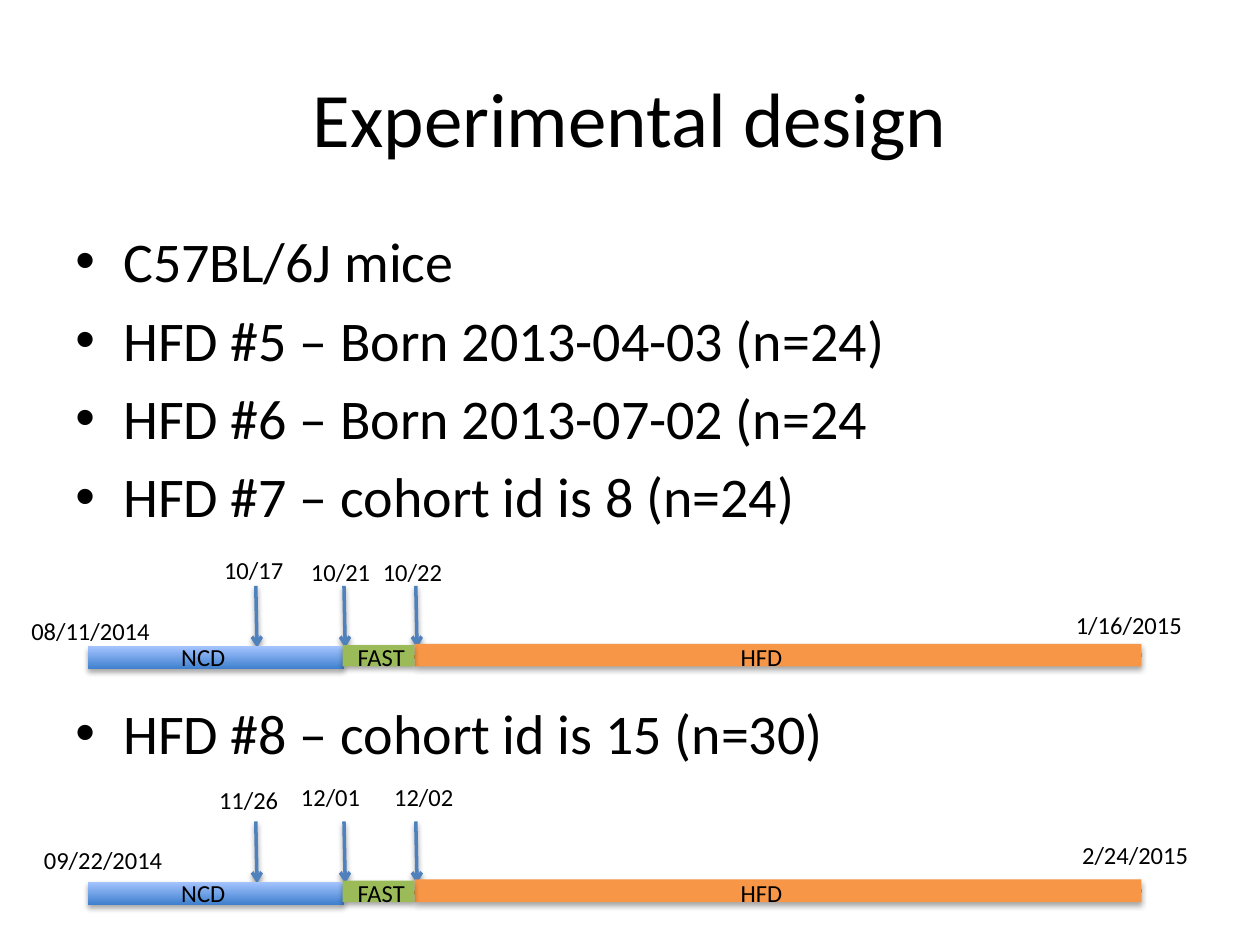
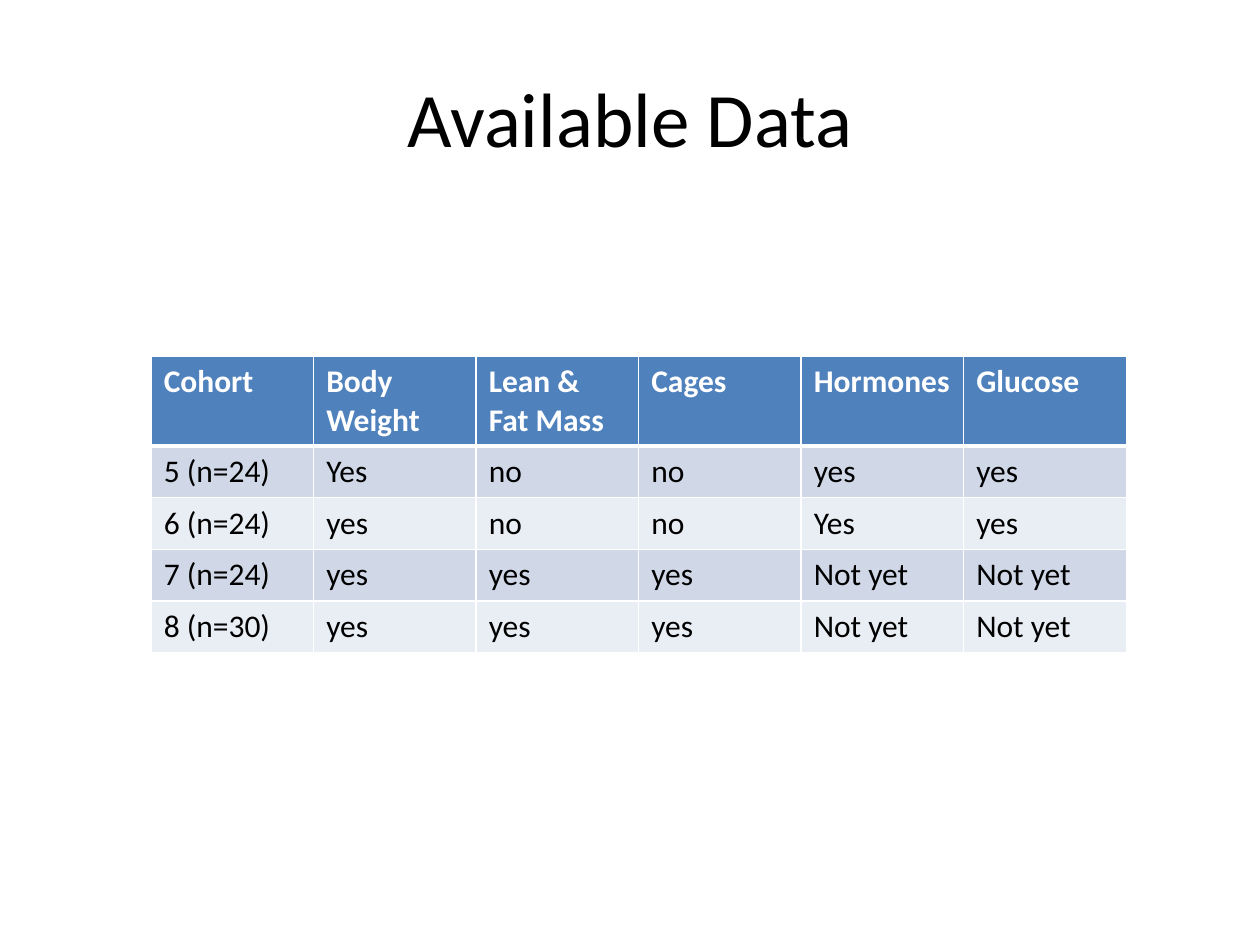
from dataclasses import dataclass

from lxml import etree
from pptx import Presentation
from pptx.dml.color import RGBColor
from pptx.enum.shapes import MSO_CONNECTOR, MSO_SHAPE
from pptx.enum.text import MSO_ANCHOR, PP_ALIGN
from pptx.oxml.ns import qn
from pptx.util import Pt

SCALE = 9144  # EMU in one px, 100 px to the inch
RECT = MSO_SHAPE.RECTANGLE
LINE = MSO_CONNECTOR.STRAIGHT
CENTER = PP_ALIGN.CENTER
MIDDLE = MSO_ANCHOR.MIDDLE
LEFT, RIGHT = 1, 3


@dataclass(frozen=True)
class Theme:
    font: str = "Calibri"
    title: int = 44
    body: int = 32
    cell: int = 18
    label: int = 14
    ink: str = "000000"
    white: str = "FFFFFF"
    blue: str = "4F81BD"
    deep: str = "3F80CE"
    pale: str = "A4C4FF"
    green: str = "9BBB59"
    orange: str = "F79646"
    rust: str = "E46C0A"
    bands: tuple = ("D0D8E8", "E9EDF4")


def px(*vals):
    return [v * SCALE for v in vals]


def rgb(code):
    return RGBColor.from_string(code)


def node(parent, tag, **attrs):
    return etree.SubElement(parent, qn(tag), {k: str(v) for k, v in attrs.items()})


def shade(shape, alpha=0, dist=0):
    """Set a soft shadow below the shape, or none when alpha is 0."""
    effects = node(shape._element.spPr, "a:effectLst")
    if alpha:
        outer = node(effects, "a:outerShdw", blurRad=Pt(3.1), dist=Pt(dist),
                     dir=90 * 60000, rotWithShape=0)
        color = node(outer, "a:srgbClr", val="000000")
        node(color, "a:alpha", val=alpha * 1000)


class Deck:
    def __init__(self, theme):
        self.theme = theme
        self.prs = Presentation()
        self.prs.slide_width, self.prs.slide_height = px(1000, 750)
        self.slide = None

    def style(self, para, size, color=None, bold=False):
        font = para.font
        font.name, font.size, font.bold = self.theme.font, Pt(size), bold
        font.color.rgb = rgb(color or self.theme.ink)

    def start(self, title):
        self.slide = self.prs.slides.add_slide(self.prs.slide_layouts[5])
        head = self.slide.shapes.title
        head.left, head.top, head.width, head.height = px(50, 30, 900, 125)
        head.text_frame.text = title
        head.text_frame.vertical_anchor = MIDDLE
        para = head.text_frame.paragraphs[0]
        para.alignment = CENTER
        self.style(para, self.theme.title)

    def label(self, text, x, y, w=130):
        frame = self.slide.shapes.add_textbox(*px(x, y, w, 34)).text_frame
        frame.word_wrap = True
        frame.margin_right = 0
        frame.text = text
        self.style(frame.paragraphs[0], self.theme.label)

    def bullets(self, items, x, y, w, h):
        """Add a list of (text, space before in points)."""
        frame = self.slide.shapes.add_textbox(*px(x, y, w, h)).text_frame
        frame.word_wrap = True
        for i, (text, gap) in enumerate(items):
            para = frame.paragraphs[0] if i == 0 else frame.add_paragraph()
            para.text = text
            para.space_before = Pt(gap)
            self.style(para, self.theme.body)
            props = para._p.get_or_add_pPr()
            props.set("marL", str(38 * SCALE))
            props.set("indent", str(-38 * SCALE))
            bullet = etree.Element(qn("a:buChar"), char="•")
            font = etree.Element(qn("a:buFont"), typeface="Arial")
            props.find(qn("a:defRPr")).addprevious(font)
            font.addnext(bullet)

    def line(self, x1, y1, x2, y2, color):
        line = self.slide.shapes.add_connector(LINE, *px(x1, y1, x2, y2))
        line.line.color.rgb = rgb(color)
        line.line.width = Pt(2)
        return line

    def arrow(self, x, y):
        arrow = self.line(x, y, x + 1, y + 49, self.theme.blue)
        node(arrow.line._get_or_add_ln(), "a:tailEnd", type="arrow")
        shade(arrow, 38, 1.6)

    def bar(self, x, y, w, h, *colors):
        """Add a bar; two colours make a gradient from bottom to top."""
        bar = self.slide.shapes.add_shape(RECT, *px(x, y, w, h))
        bar.line.fill.background()
        if len(colors) == 1:
            bar.fill.solid()
            bar.fill.fore_color.rgb = rgb(colors[0])
        else:
            bar.fill.gradient()
            bar.fill.gradient_angle = 90
            for stop, color in zip(bar.fill.gradient_stops, colors):
                stop.color.rgb = rgb(color)
        shade(bar, 35, 1.8)
        return bar

    def span(self, top, dates):
        """Draw a feeding timeline whose bars start at top."""
        t = self.theme
        for x in (203, 273, 330):
            self.arrow(x, top - 46)
        axis = self.line(70, top + 11, 906, top + 9, t.rust)
        shade(axis)
        high = self.bar(329, top, 577, 18, t.orange)
        norm = self.bar(70, top + 2, 203, 18, t.deep, t.pale)
        self.bar(272, top + 1, 57, 17, t.green)
        axis.begin_connect(norm, LEFT)
        axis.end_connect(high, RIGHT)
        for text, x in (("NCD", 134), ("FAST", 274), ("HFD", 578)):
            self.label(text, x, top - 6, 84)
        for text, x, rise in dates:
            self.label(text, x, top - rise)

    def grid(self, rows, x, y, wide, heights):
        t = self.theme
        count = len(rows[0])
        table = self.slide.shapes.add_table(
            len(rows), count, *px(x, y, wide * count, sum(heights))).table
        for col in table.columns:
            col.width = wide * SCALE
        for r, (row, high) in enumerate(zip(rows, heights)):
            table.rows[r].height = high * SCALE
            head = r == 0
            for c, text in enumerate(row):
                cell = table.cell(r, c)
                cell.text = text
                self.style(cell.text_frame.paragraphs[0], t.cell,
                           t.white if head else t.ink, head)
                self.edges(cell, top=3 if r == 1 else 1, base=3 if head else 1)
                cell.fill.solid()
                cell.fill.fore_color.rgb = rgb(t.blue if head else t.bands[(r - 1) % 2])

    def edges(self, cell, top, base):
        props = cell._tc.get_or_add_tcPr()
        for side, width in zip("LRTB", (1, 1, top, base)):
            edge = node(props, f"a:ln{side}", w=Pt(width))
            node(node(edge, "a:solidFill"), "a:srgbClr", val=self.theme.white)


def design(deck):
    deck.start("Experimental design")
    deck.bullets([
        ("C57BL/6J mice", 6.4),
        ("HFD #5 – Born 2013-04-03 (n=24)", 6.4),
        ("HFD #6 – Born 2013-07-02 (n=24", 6.4),
        ("HFD #7 – cohort id is 8 (n=24)", 6.4),
        ("HFD #8 – cohort id is 15 (n=30)", 96.5),
    ], 50, 175, 900, 495)
    deck.span(511, [
        ("08/11/2014", 15, 27), ("10/17", 168, 75), ("10/21", 237, 74),
        ("10/22", 294, 74), ("1/16/2015", 844, 32)])
    deck.span(698, [
        ("09/22/2014", 25, 32), ("11/26", 164, 80), ("12/01", 229, 82),
        ("12/02", 303, 82), ("2/24/2015", 849, 36)])


def data(deck):
    deck.start("Available Data")
    deck.grid([
        ("Cohort", "Body Weight", "Lean & Fat Mass", "Cages", "Hormones", "Glucose"),
        ("5 (n=24)", "Yes", "no", "no", "yes", "yes"),
        ("6 (n=24)", "yes", "no", "no", "Yes", "yes"),
        ("7 (n=24)", "yes", "yes", "yes", "Not yet", "Not yet"),
        ("8 (n=30)", "yes", "yes", "yes", "Not yet", "Not yet"),
    ], 120, 283, 129, [69] + [41] * 4)


def main():
    deck = Deck(Theme())
    design(deck)
    data(deck)
    deck.prs.save("out.pptx")


if __name__ == "__main__":
    main()
